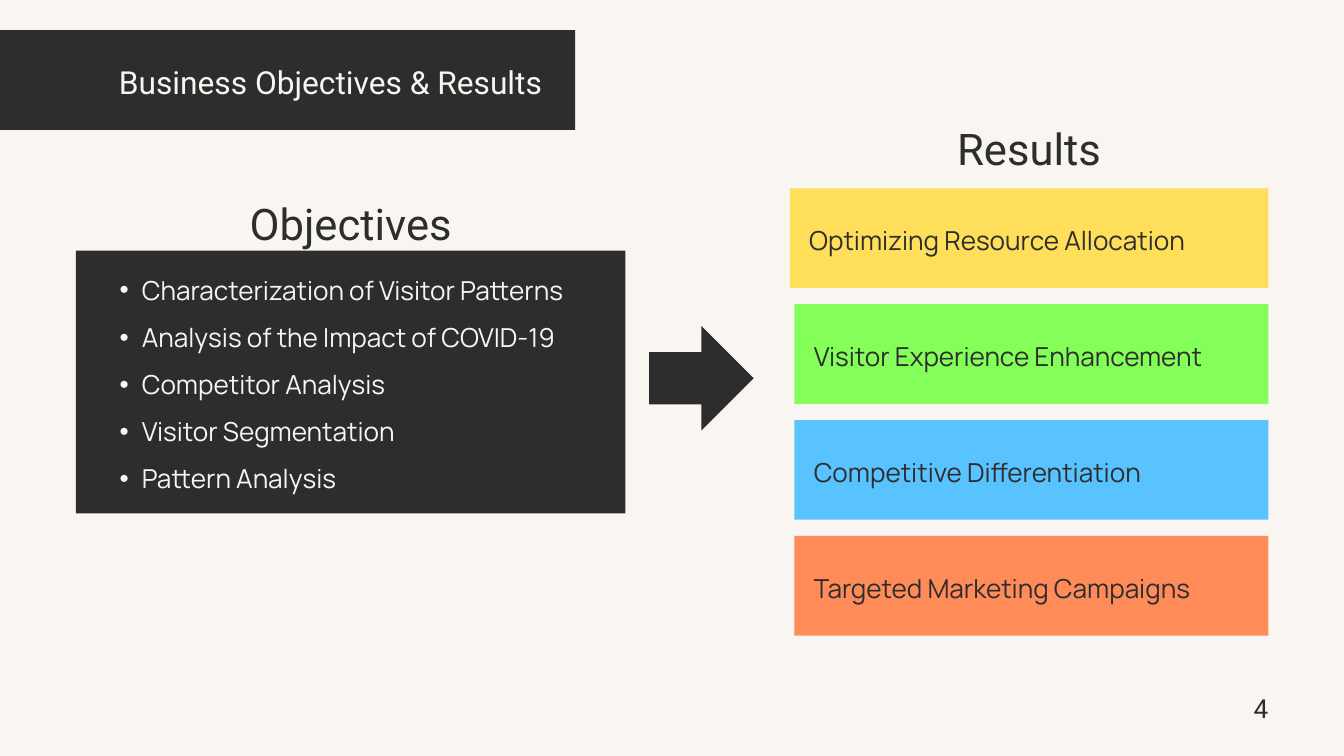
from lxml import etree
from pptx import Presentation
from pptx.dml.color import RGBColor
from pptx.enum.shapes import MSO_SHAPE as Preset
from pptx.enum.text import MSO_ANCHOR as Anchor, MSO_AUTO_SIZE as AutoSize, PP_ALIGN as Align
from pptx.oxml.ns import qn
from pptx.util import Pt

CREAM = RGBColor(0xF9, 0xF5, 0xF0)
CHARCOAL = RGBColor(0x2D, 0x2D, 0x2D)
YELLOW = RGBColor(0xFF, 0xDE, 0x59)
GREEN = RGBColor(0x84, 0xFF, 0x59)
BLUE = RGBColor(0x59, 0xC3, 0xFF)
ORANGE = RGBColor(0xFF, 0x8B, 0x59)

TITLE = {"name": "Roboto", "size": Pt(34), "bold": False}
HEADING = {"name": "Roboto", "size": Pt(46.7)}
BODY = {"name": "Manrope", "size": Pt(28)}
NUMBER = {"name": "Roboto", "size": Pt(28)}

OBJECTIVES = [
    "Characterization of Visitor Patterns",
    "Analysis of the Impact of COVID-19",
    "Competitor Analysis",
    "Visitor Segmentation",
    "Pattern Analysis",
]
# Text, fill and left inset of each card within the column
RESULTS = [
    ("Optimizing Resource Allocation", YELLOW, 0),
    ("Visitor Experience Enhancement", GREEN, 5),
    ("Competitive Differentiation", BLUE, 5),
    ("Targeted Marketing Campaigns", ORANGE, 5),
]


def add_block(slide, preset, box, fill):
    shape = slide.shapes.add_shape(preset, *map(Pt, box))
    shape.shadow.inherit = False
    shape.fill.solid()
    shape.fill.fore_color.rgb = fill
    shape.line.fill.background()


def add_bullet(paragraph):
    paragraph.level = 1
    properties = paragraph._p.get_or_add_pPr()
    properties.set("marL", str(Pt(47.6)))
    properties.set("indent", str(-Pt(23.8)))
    etree.SubElement(properties, qn("a:buFont")).set("typeface", "Arial")
    etree.SubElement(properties, qn("a:buChar")).set("char", "•")


def write_text(shape, lines, font, color, spacing, align=Align.LEFT, bullets=False):
    frame_format = {
        "margin_left": 0, "margin_top": 0, "margin_right": 0, "margin_bottom": 0,
        "word_wrap": True, "auto_size": AutoSize.NONE, "vertical_anchor": Anchor.TOP,
    }
    frame = shape.text_frame
    for name, value in frame_format.items():
        setattr(frame, name, value)
    frame.text = "\n".join(lines)
    paragraph_format = {"alignment": align, "line_spacing": Pt(spacing),
                        "space_before": Pt(0), "space_after": Pt(0)}
    for paragraph in frame.paragraphs:
        if bullets:
            add_bullet(paragraph)
        for name, value in paragraph_format.items():
            setattr(paragraph, name, value)
        for name, value in font.items():
            setattr(paragraph.font, name, value)
        paragraph.font.color.rgb = color


def add_text(slide, box, text, font, spacing, align=Align.LEFT):
    shape = slide.shapes.add_textbox(*map(Pt, box))
    write_text(shape, [text], font, CHARCOAL, spacing, align)


def place_placeholder(slide, shape, box):
    """Move a placeholder to its box, in front of the blocks drawn so far."""
    for name, value in zip(("left", "top", "width", "height"), box):
        setattr(shape, name, Pt(value))
    slide.shapes.element.append(shape.element)


def add_header(slide, box):
    left, top, width, height = box
    add_block(slide, Preset.RECTANGLE, box, CHARCOAL)
    title = slide.shapes.title
    place_placeholder(slide, title, (left + 28, top + 28, width - 63.5, 45.4))
    write_text(title, ["Business Objectives & Results"], TITLE, CREAM, 47.6, Align.RIGHT)


def add_objectives(slide, box):
    left, top, width, height = box
    add_block(slide, Preset.RECTANGLE, box, CHARCOAL)
    body = slide.placeholders[1]
    place_placeholder(slide, body, (left + 23, top + 8.6, width - 46, 249))
    write_text(body, OBJECTIVES, BODY, CREAM, 50.4, bullets=True)
    add_text(slide, (left, top - 67, width, 64), "Objectives", HEADING, 65.3, Align.CENTER)


def add_results(slide, box):
    left, top, width, height = box
    card_height = 106.8
    pitch = (height - card_height) / (len(RESULTS) - 1)
    add_text(slide, (left, top - 80.6, width, 64), "Results", HEADING, 65.3, Align.CENTER)
    for index, (text, fill, inset) in enumerate(RESULTS):
        card_left, card_top = left + inset, top + index * pitch
        card_width = width - inset
        add_block(slide, Preset.RECTANGLE, (card_left, card_top, card_width, card_height), fill)
        add_text(slide, (card_left + 20.8, card_top + 21.8, card_width - 20.8, 48.2),
                 text, BODY, 50.4)


def main():
    presentation = Presentation()
    presentation.slide_width, presentation.slide_height = Pt(1440), Pt(810)
    slide = presentation.slides.add_slide(presentation.slide_layouts[1])
    slide.background.fill.solid()
    slide.background.fill.fore_color.rgb = CREAM

    add_header(slide, (0, 32.4, 616.3, 106.8))
    add_objectives(slide, (81.4, 268.5, 588.6, 281.6))
    add_block(slide, Preset.RIGHT_ARROW, (695.5, 349.2, 112, 112), CHARCOAL)
    add_results(slide, (846.2, 201.8, 512.8, 479.2))
    # Page number
    add_text(slide, (1016, 735.8, 343, 39.6), "4", NUMBER, 39.2, Align.RIGHT)

    presentation.save("out.pptx")


if __name__ == "__main__":
    main()
